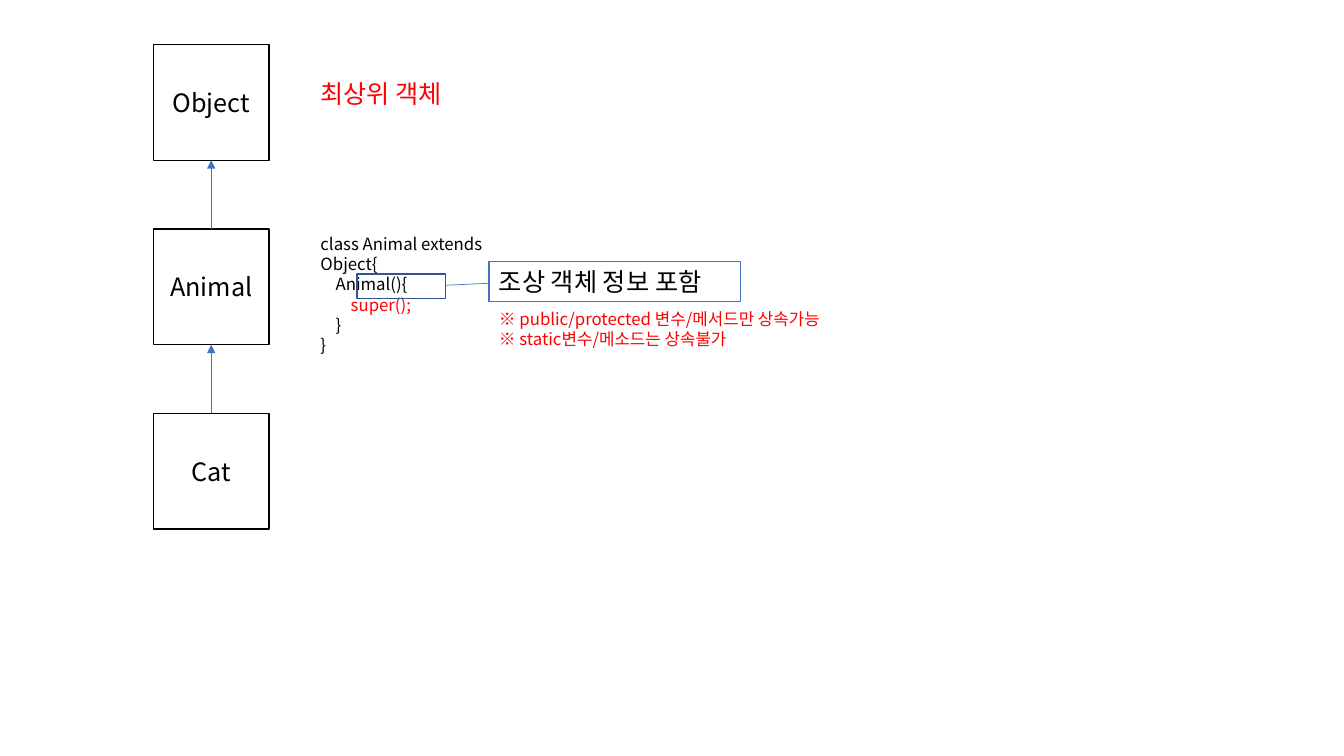
from lxml.etree import SubElement
from pptx import Presentation
from pptx.dml.color import RGBColor
from pptx.enum.shapes import MSO_CONNECTOR as Connector, MSO_SHAPE as Shape
from pptx.enum.text import MSO_ANCHOR as Anchor, PP_ALIGN as Align
from pptx.oxml.ns import qn
from pptx.util import Inches, Pt

FONT = "Noto Sans CJK KR"
COLORS = {"text": "000000", "accent": "FF0000", "box": "FFFFFF",
          "line": "4472C4", "frame": "325491"}
CLASSES = ["Object", "Animal", "Cat"]
CODE = [  # indent level, text, colour
    (0, "class Animal extends Object{", "text"),
    (1, "Animal(){", "text"),
    (2, "super();", "accent"),
    (1, "}", "text"),
    (0, "}", "text"),
]
INDENT = 0.15


def rgb(name):
    return RGBColor.from_string(COLORS[name])


def write(frame, lines, size, align=Align.LEFT, wrap=False):
    """Fill a text frame with (indent level, text, colour) lines."""
    frame.word_wrap = wrap
    for number, (level, text, color) in enumerate(lines):
        paragraph = frame.add_paragraph() if number else frame.paragraphs[0]
        paragraph.alignment = align
        if level:
            paragraph._p.get_or_add_pPr().set("marL", str(Inches(level * INDENT)))
        run = paragraph.add_run()
        run.text = text
        run.font.size = Pt(size)
        run.font.name = FONT
        run.font.color.rgb = rgb(color)
        east_asian = SubElement(run._r.get_or_add_rPr(), qn("a:ea"))
        east_asian.set("typeface", FONT)


def add_text(slide, box, lines, size, wrap=False):
    text_box = slide.shapes.add_textbox(*map(Inches, box))
    write(text_box.text_frame, lines, size, wrap=wrap)


def add_box(slide, box, line, width, fill=None):
    rect = slide.shapes.add_shape(Shape.RECTANGLE, *map(Inches, box))
    rect.shadow.inherit = False
    if fill:
        rect.fill.solid()
        rect.fill.fore_color.rgb = rgb(fill)
    else:
        rect.fill.background()
    rect.line.color.rgb = rgb(line)
    rect.line.width = Pt(width)
    return rect


def add_line(slide, start, end, arrow=False):
    line = slide.shapes.add_connector(Connector.STRAIGHT, *map(Inches, start + end))
    line.line.color.rgb = rgb("line")
    line.line.width = Pt(0.5)
    if arrow:
        SubElement(line.line._get_or_add_ln(), qn("a:tailEnd")).set("type", "triangle")
    SubElement(line._element.spPr, qn("a:effectLst"))


def add_hierarchy(slide, left, top, side, step):
    """Stack of classes, each pointing up to its parent."""
    center = left + side / 2
    for level, name in enumerate(CLASSES):
        class_top = top + level * step
        class_box = add_box(slide, (left, class_top, side, side), "text", 1, "box")
        class_box.text_frame.vertical_anchor = Anchor.MIDDLE
        write(class_box.text_frame, [(0, name, "text")], 18, Align.CENTER)
        if level:
            parent_bottom = class_top - step + side
            add_line(slide, (center, class_top), (center, parent_bottom), arrow=True)


def add_constructor(slide, left, top):
    """Class code with its framed call, callout and inheritance rules."""
    add_text(slide, (left, top, 2.35, 1.11), CODE, 12, wrap=True)
    add_box(slide, (left + 0.46, top + 0.45, 0.88, 0.24), "frame", 1)
    add_line(slide, (left + 1.34, top + 0.56), (left + 1.78, top + 0.54))

    callout_left = left + 1.77
    callout = add_box(slide, (callout_left, top + 0.32, 2.49, 0.4), "line", 0.75)
    callout.text_frame.vertical_anchor = Anchor.TOP
    write(callout.text_frame, [(0, "조상 객체 정보 포함", "text")], 18)
    rules = [(0, "※ public/protected 변수/메서드만 상속가능", "accent"),
             (0, "※ static변수/메소드는 상속불가", "accent")]
    add_text(slide, (callout_left, top + 0.74, 3.53, 0.5), rules, 12)


def main():
    deck = Presentation()
    deck.slide_width, deck.slide_height = Inches(13.33), Inches(7.5)
    slide = deck.slides.add_slide(deck.slide_layouts[6])
    add_hierarchy(slide, 1.52, 0.44, 1.15, 1.83)
    add_text(slide, (3.08, 0.73, 1.55, 0.4), [(0, "최상위 객체", "accent")], 18)
    add_constructor(slide, 3.08, 2.27)
    deck.save("out.pptx")


if __name__ == "__main__":
    main()
